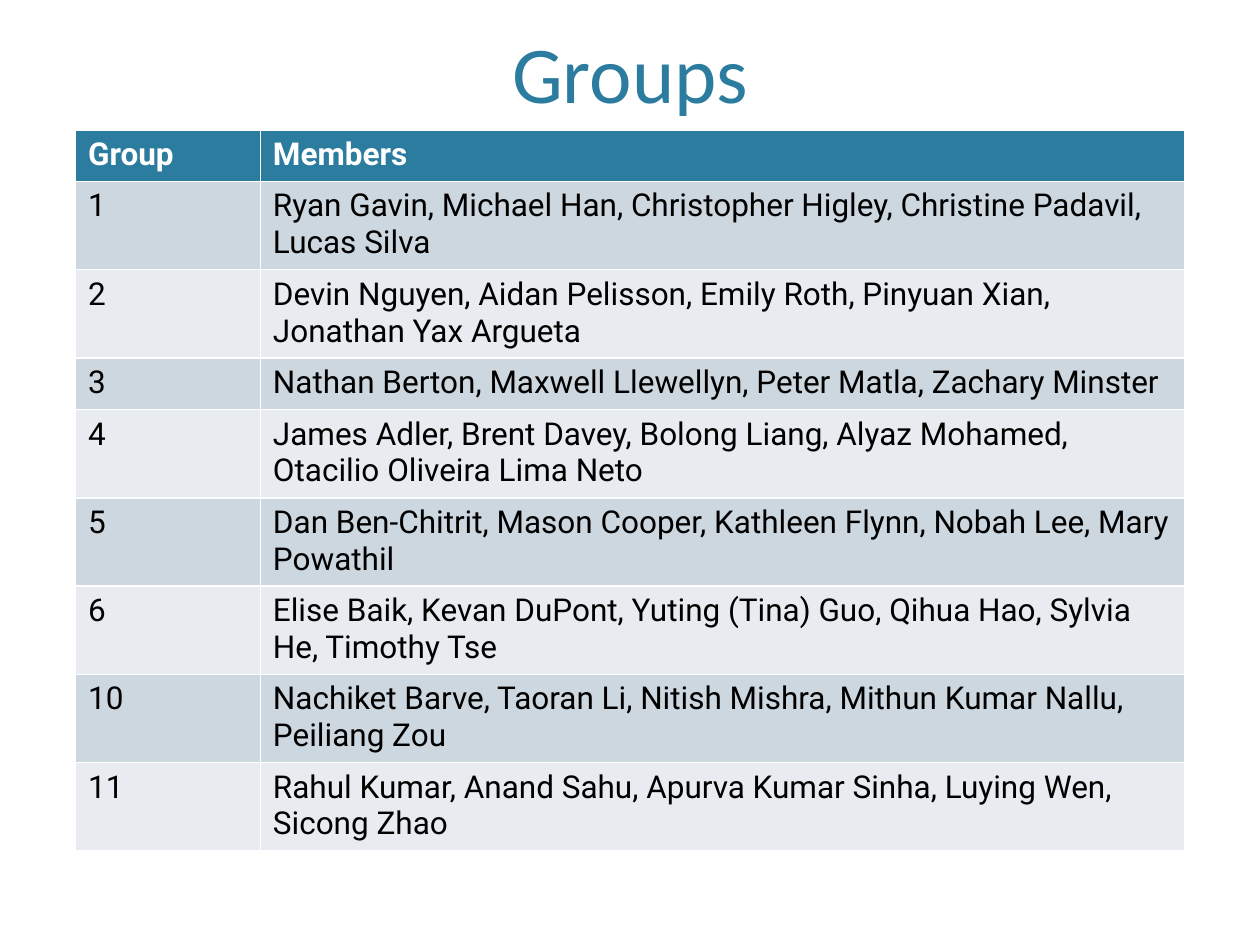
"""Build a slide that lists the members of each group in a table."""
import pptx
import pptx.dml.color
import pptx.enum.text
import pptx.util

COLOURS = {
    "teal": "2C7C9F",
    "white": "FFFFFF",
    "black": "000000",
    "odd": "CDD7DF",
    "even": "E8ECF0",
}
RGB = {name: pptx.dml.color.RGBColor.from_string(value) for name, value in COLOURS.items()}

ROSTER = [
    ("Group", "Members"),
    ("1", "Ryan Gavin, Michael Han, Christopher Higley, Christine Padavil, Lucas Silva"),
    ("2", "Devin Nguyen, Aidan Pelisson, Emily Roth, Pinyuan Xian, Jonathan Yax Argueta"),
    ("3", "Nathan Berton, Maxwell Llewellyn, Peter Matla, Zachary Minster"),
    ("4", "James Adler, Brent Davey, Bolong Liang, Alyaz Mohamed, Otacilio Oliveira Lima Neto"),
    ("5", "Dan Ben-Chitrit, Mason Cooper, Kathleen Flynn, Nobah Lee, Mary Powathil"),
    ("6", "Elise Baik, Kevan DuPont, Yuting (Tina) Guo, Qihua Hao, Sylvia He, Timothy Tse"),
    ("10", "Nachiket Barve, Taoran Li, Nitish Mishra, Mithun Kumar Nallu, Peiliang Zou"),
    ("11", "Rahul Kumar, Anand Sahu, Apurva Kumar Sinha, Luying Wen, Sicong Zhao"),
]

deck = pptx.Presentation()
deck.slide_width = pptx.util.Inches(10)
deck.slide_height = pptx.util.Inches(7.5)
slide = deck.slides.add_slide(deck.slide_layouts[6])

margin = int(deck.slide_width * 0.06)
content_width = deck.slide_width - 2 * margin
row_height = pptx.util.Inches(0.41)

heading = slide.shapes.add_textbox(margin, 0, content_width, pptx.util.Inches(1)).text_frame
heading.word_wrap = True
heading.vertical_anchor = pptx.enum.text.MSO_ANCHOR.BOTTOM
heading.text = "Groups"
title = heading.paragraphs[0]
title.alignment = pptx.enum.text.PP_ALIGN.CENTER
title.font.name = "Calibri"
title.font.size = pptx.util.Pt(46)
title.font.color.rgb = RGB["teal"]

groups = slide.shapes.add_table(
    len(ROSTER), 2, margin, pptx.util.Inches(1.03), content_width, row_height * len(ROSTER)
).table
groups.columns[0].width = content_width // 6
groups.columns[1].width = content_width - content_width // 6

for row, entry in enumerate(ROSTER):
    is_header = row == 0
    band = "teal" if is_header else ("odd" if row % 2 else "even")
    groups.rows[row].height = row_height
    for column, wording in enumerate(entry):
        cell = groups.cell(row, column)
        cell.fill.solid()
        cell.fill.fore_color.rgb = RGB[band]
        cell.text = wording
        font = cell.text_frame.paragraphs[0].font
        font.name = "Roboto"
        font.size = pptx.util.Pt(18)
        font.bold = is_header
        font.color.rgb = RGB["white" if is_header else "black"]

deck.save("out.pptx")
